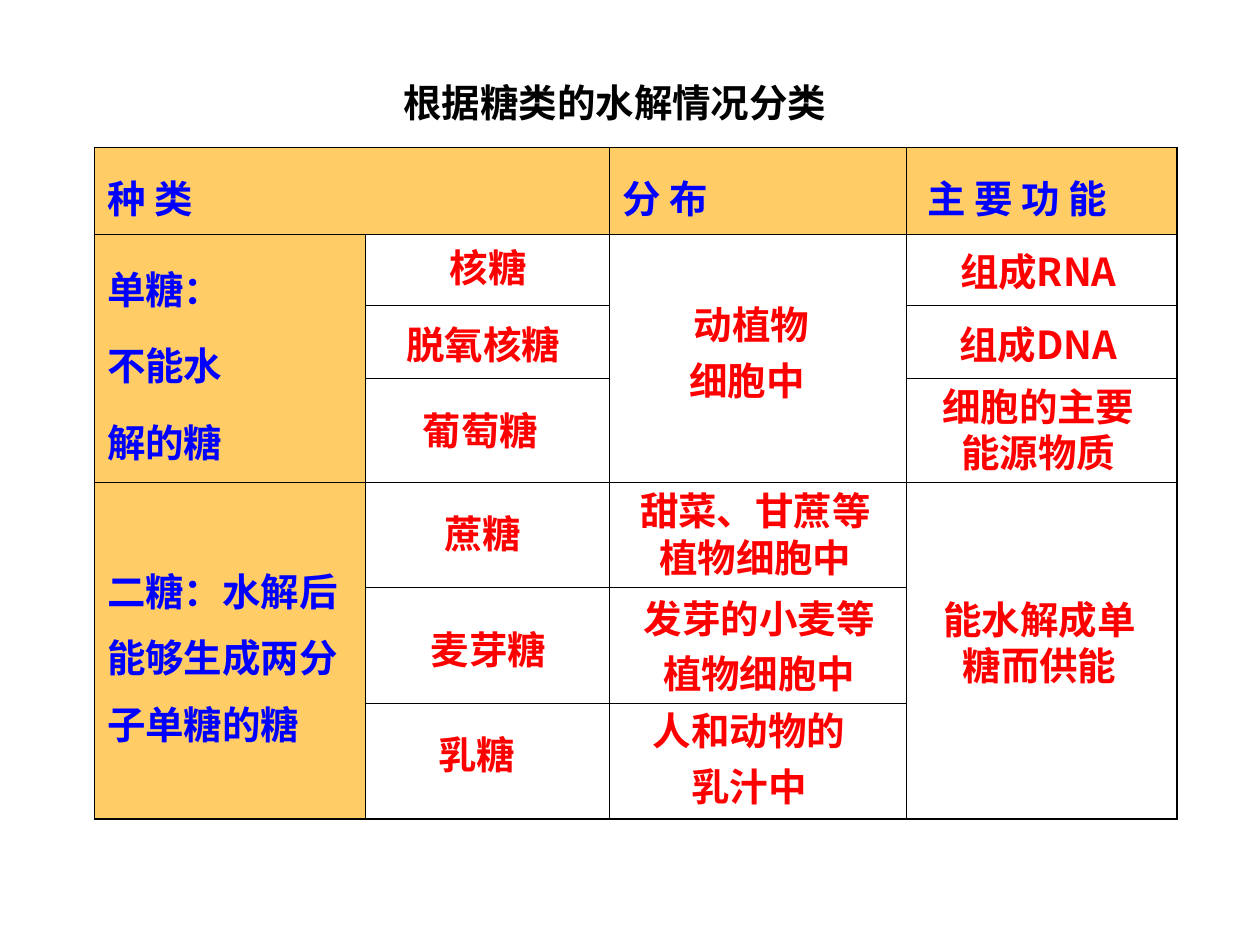
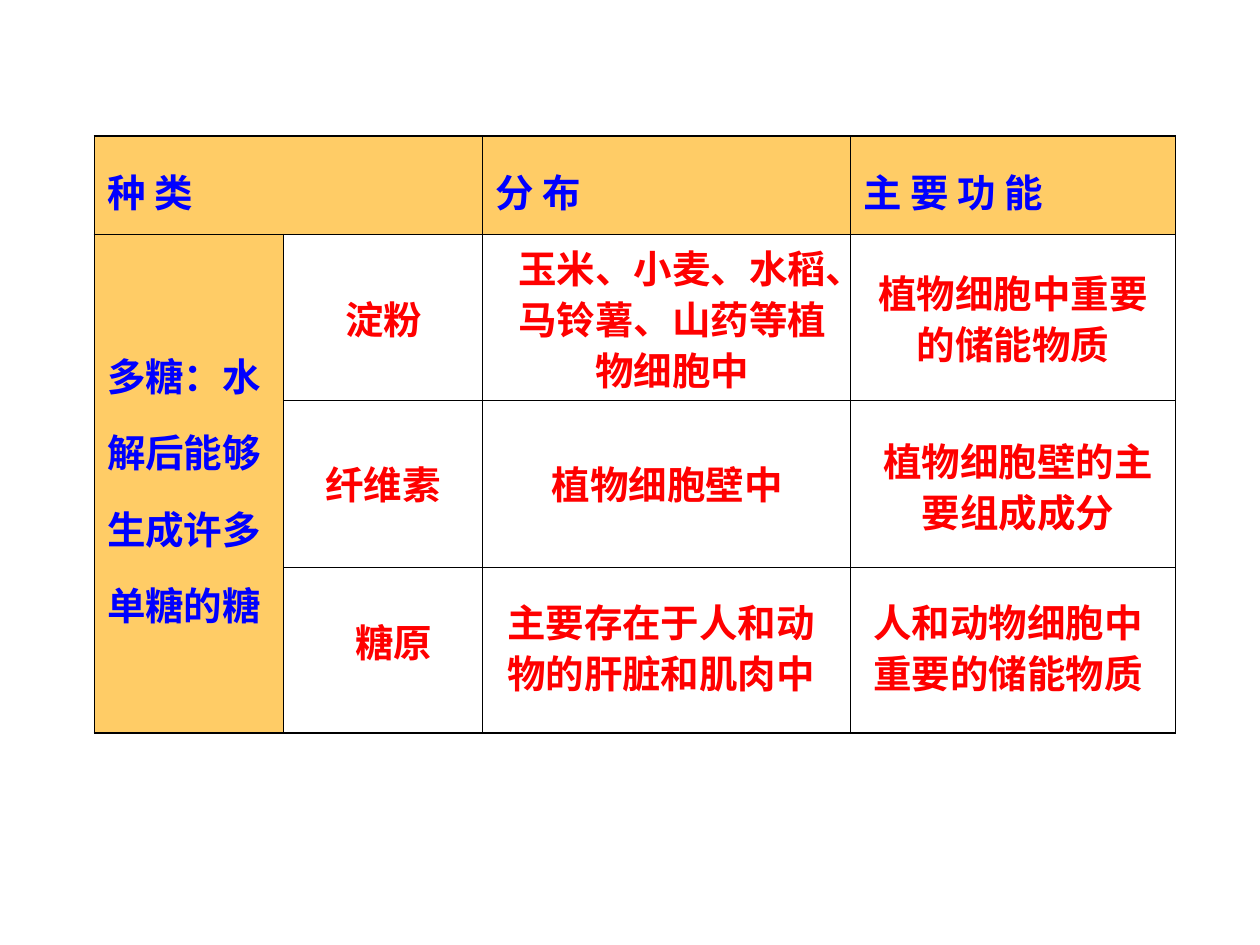
from lxml import etree
from pptx import Presentation
from pptx.dml.color import RGBColor
from pptx.enum.text import MSO_ANCHOR, MSO_AUTO_SIZE, PP_ALIGN
from pptx.oxml.ns import qn
from pptx.util import Inches, Pt

CENTER = PP_ALIGN.CENTER
LEFT = PP_ALIGN.LEFT
MIDDLE = MSO_ANCHOR.MIDDLE
TOP = MSO_ANCHOR.TOP
FIT_SHAPE = MSO_AUTO_SIZE.SHAPE_TO_FIT_TEXT
TITLE_ONLY = 5
BLANK = 6

COLORS = {"title": "000000", "label": "0000FF", "answer": "FF0000",
          "band": "FFCC66", "border": "000000"}
FONT = "Noto Sans CJK SC"
TEXT_SIZE = 22
PARAGRAPH_GAP = 5.5
LABEL_SPACING = 1.2
OUTER_WIDTH = 1.08
INNER_WIDTH = 0.45
TABLE_LEFT = 0.75

HYDROLYSIS_COLUMNS = [2.15, 1.94, 2.35, 2.15]
HYDROLYSIS_ROWS = [0.69, 0.56, 0.58, 0.83, 0.83, 0.92, 0.92]
HYDROLYSIS_MERGES = [(0, 0, 0, 1), (1, 0, 3, 0), (1, 2, 3, 2), (4, 0, 6, 0), (4, 3, 6, 3)]
HYDROLYSIS_LABELS = {
    (0, 0): "种 类", (0, 2): "分 布", (0, 3): " 主 要 功 能",
    (1, 0): "单糖：\n不能水\n解的糖",
    (4, 0): "二糖：水解后能够生成两分子单糖的糖",
}
HYDROLYSIS_ANSWERS = [
    ("核糖", 3.08, 1.89, 1.59, 0.47),
    ("脱氧核糖", 3, 2.5, 1.67, 0.47),
    ("葡萄糖", 2.98, 3.18, 1.67, 0.47),
    ("动植物\n细胞中 ", 5.13, 2.34, 1.67, 0.91),
    ("组成RNA", 7.45, 1.92, 1.58, 0.47),
    ("组成DNA", 7.45, 2.5, 1.58, 0.47),
    ("细胞的主要能源物质", 7.28, 2.99, 1.92, 0.84),
    ("蔗糖", 3.08, 4, 1.5, 0.47),
    ("麦芽糖", 3, 4.92, 1.75, 0.47),
    ("乳糖", 3.12, 5.75, 1.33, 0.47),
    ("甜菜、甘蔗等植物细胞中", 4.83, 3.82, 2.33, 0.84),
    ("发芽的小麦等\n植物细胞中", 4.9, 4.67, 2.25, 0.91),
    ("人和动物的\n乳汁中", 5.03, 5.56, 1.83, 0.91),
    ("能水解成单糖而供能", 7.29, 4.68, 1.92, 0.84),
]

POLYSACCHARIDE_COLUMNS = [1.5, 1.58, 2.92, 2.58]
POLYSACCHARIDE_ROWS = [0.78, 1.32, 1.32, 1.32]
POLYSACCHARIDE_MERGES = [(0, 0, 0, 1), (1, 0, 3, 0)]
POLYSACCHARIDE_LABELS = {
    (0, 0): "种 类", (0, 2): "分 布", (0, 3): "主 要 功 能",
    (1, 0): "多糖：水\n解后能够\n生成许多\n单糖的糖",
}
POLYSACCHARIDE_ANSWERS = [
    ("淀粉", 2.42, 2.26, 1.25, 0.51),
    ("玉米、小麦、水稻、马铃薯、山药等植物细胞中", 3.92, 1.86, 2.83, 1.31),
    ("植物细胞中重要的储能物质", 6.83, 2.06, 2.42, 0.91),
    ("纤维素", 2.25, 3.57, 1.58, 0.51),
    ("植物细胞壁中", 3.92, 3.57, 2.75, 0.51),
    ("植物细胞壁的主要组成成分", 6.83, 3.39, 2.5, 0.91),
    ("糖原", 2.05, 4.83, 2.15, 0.51),
    ("主要存在于人和动物的肝脏和肌肉中", 3.87, 4.67, 2.75, 0.91),
    ("人和动物细胞中重要的储能物质", 6.75, 4.67, 2.5, 0.91),
]


def write_text(text_frame, text, color, alignment=CENTER, line_spacing=1.0):
    """Fill a text frame and give every paragraph the shared bold style."""
    text_frame.text = text
    for index, paragraph in enumerate(text_frame.paragraphs):
        paragraph.alignment = alignment
        paragraph.line_spacing = line_spacing
        paragraph.space_before = Pt(PARAGRAPH_GAP if index else 0)
        for run in paragraph.runs:
            run.font.name = FONT
            run.font.size = Pt(TEXT_SIZE)
            run.font.bold = True
            run.font.color.rgb = RGBColor.from_string(COLORS[color])
            properties = run.font._element
            etree.SubElement(properties, qn("a:ea"), typeface=FONT)


def set_title(slide, text, left, top, width, height):
    """Move and format the title placeholder."""
    title = slide.shapes.title
    title.left, title.top = Inches(left), Inches(top)
    title.width, title.height = Inches(width), Inches(height)
    title.text_frame.vertical_anchor = TOP
    write_text(title.text_frame, text, "title")


def add_answer(slide, text, left, top, width, height, line_spacing):
    """Add a centred red answer over the table."""
    box = slide.shapes.add_textbox(Inches(left), Inches(top), Inches(width), Inches(height))
    box.text_frame.word_wrap = True
    box.text_frame.auto_size = FIT_SHAPE
    write_text(box.text_frame, text, "answer", line_spacing=line_spacing)


def set_borders(cell, outer_sides):
    """Draw the four cell borders, heavier on the table's outer sides."""
    properties = cell._tc.get_or_add_tcPr()
    for index, side in enumerate("LRTB"):
        width = OUTER_WIDTH if side in outer_sides else INNER_WIDTH
        line = etree.Element(qn(f"a:ln{side}"), w=str(int(Pt(width))))
        fill = etree.SubElement(line, qn("a:solidFill"))
        etree.SubElement(fill, qn("a:srgbClr"), val=COLORS["border"])
        properties.insert(index, line)


def add_sugar_table(slide, top, columns, rows, merges, labels):
    """Add a bordered table with a coloured header row and first column."""
    frame = slide.shapes.add_table(len(rows), len(columns), Inches(TABLE_LEFT), Inches(top),
                                   Inches(sum(columns)), Inches(sum(rows)))
    table = frame.table
    table.first_row = table.horz_banding = False
    for column, width in zip(table.columns, columns):
        column.width = Inches(width)
    for row, height in zip(table.rows, rows):
        row.height = Inches(height)
    for first_row, first_column, last_row, last_column in merges:
        table.cell(first_row, first_column).merge(table.cell(last_row, last_column))
    for row in range(len(rows)):
        for column in range(len(columns)):
            cell = table.cell(row, column)
            last_row, last_column = row, column
            if cell.is_merge_origin:
                last_row += cell.span_height - 1
                last_column += cell.span_width - 1
            edges = {"L": column == 0, "R": last_column == len(columns) - 1,
                     "T": row == 0, "B": last_row == len(rows) - 1}
            cell.vertical_anchor = MIDDLE
            if row == 0 or column == 0:
                cell.fill.solid()
                cell.fill.fore_color.rgb = RGBColor.from_string(COLORS["band"])
            else:
                cell.fill.background()
            set_borders(cell, [side for side, is_outer in edges.items() if is_outer])
            if (row, column) in labels:
                write_text(cell.text_frame, labels[row, column], "label", LEFT, LABEL_SPACING)


def add_hydrolysis_slide(presentation):
    """Build the slide on monosaccharides and disaccharides."""
    slide = presentation.slides.add_slide(presentation.slide_layouts[TITLE_ONLY])
    set_title(slide, "根据糖类的水解情况分类 ", 0.75, 0.58, 8.33, 0.47)
    add_sugar_table(slide, 1.17, HYDROLYSIS_COLUMNS, HYDROLYSIS_ROWS,
                    HYDROLYSIS_MERGES, HYDROLYSIS_LABELS)
    for answer in HYDROLYSIS_ANSWERS:
        add_answer(slide, *answer, line_spacing=1.0)


def add_polysaccharide_slide(presentation):
    """Build the slide on polysaccharides."""
    slide = presentation.slides.add_slide(presentation.slide_layouts[BLANK])
    add_sugar_table(slide, 1.08, POLYSACCHARIDE_COLUMNS, POLYSACCHARIDE_ROWS,
                    POLYSACCHARIDE_MERGES, POLYSACCHARIDE_LABELS)
    for answer in POLYSACCHARIDE_ANSWERS:
        add_answer(slide, *answer, line_spacing=1.1)


def main():
    """Create and save the presentation."""
    presentation = Presentation()
    presentation.slide_width = Inches(10)
    presentation.slide_height = Inches(7.5)
    add_hydrolysis_slide(presentation)
    add_polysaccharide_slide(presentation)
    presentation.save("out.pptx")


if __name__ == "__main__":
    main()
